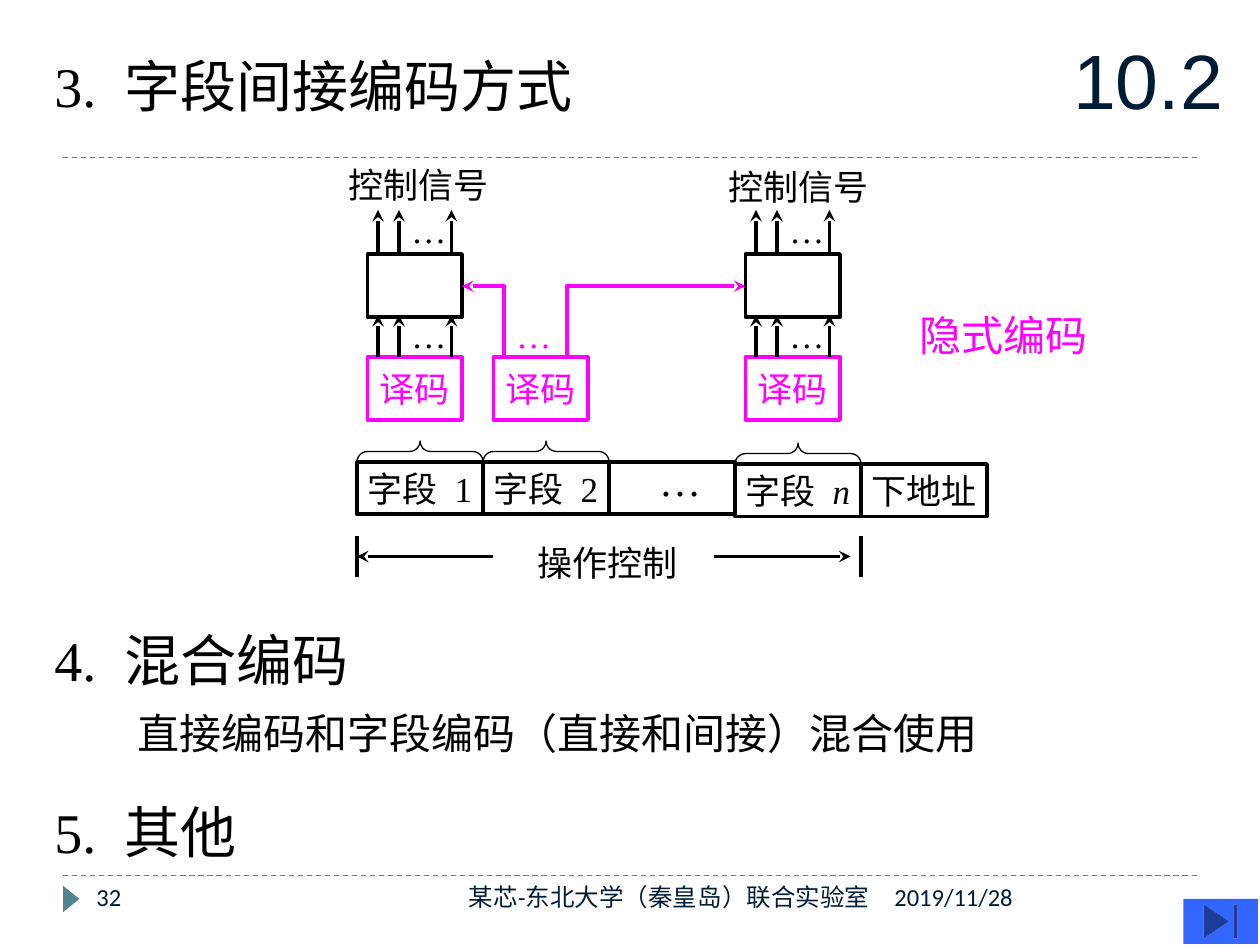
from dataclasses import dataclass

import pptx
import pptx.dml.color
import pptx.enum.dml
import pptx.enum.shapes
import pptx.enum.text
import pptx.oxml.ns
import pptx.util
from lxml import etree

RGBColor = pptx.dml.color.RGBColor
SHAPE = pptx.enum.shapes.MSO_SHAPE
ALIGN = pptx.enum.text.PP_ALIGN
ANCHOR = pptx.enum.text.MSO_ANCHOR
qn = pptx.oxml.ns.qn

BLACK = RGBColor(0, 0, 0)
MAGENTA = RGBColor(0xFF, 0, 0xFF)
NAVY = RGBColor(0, 0x1B, 0x36)
TEAL = RGBColor(0x51, 0x84, 0x8E)
BLUE = RGBColor(0x33, 0x66, 0xFF)
SERIF, SANS = "Times New Roman", "DejaVu Sans"

# The slide is a grid of 120 columns by 90 rows, twelve cells to the inch
COLUMNS, ROWS = 120, 90
CELL = pptx.util.Inches(10) / COLUMNS
FIELD_WIDTH, FIELD_HEIGHT = 12, 5
BLOCK_WIDTH, BLOCK_HEIGHT = 9, 6
FIRST_FIELD = 34


@dataclass(frozen=True)
class Box:
    col: float
    row: float
    width: float
    height: float

    def emu(self) -> list[int]:
        return [cells(v) for v in (self.col, self.row, self.width, self.height)]


@dataclass(frozen=True)
class Style:
    size: float = 20
    color: RGBColor = BLACK
    font: str = SERIF
    align: ALIGN = ALIGN.LEFT


@dataclass(frozen=True)
class Piece:
    text: str
    font: str = SERIF
    italic: bool = False
    spread: bool = False  # letter-spaced to double a space


@dataclass(frozen=True)
class Field:
    pieces: list[Piece]
    row: float
    brace: bool


def cells(count: float) -> int:
    return round(count * CELL)


def write(frame, pieces: list[Piece], style: Style) -> None:
    paragraph = frame.paragraphs[0]
    paragraph.alignment = style.align
    paragraph.font.size = pptx.util.Pt(style.size)
    paragraph.font.color.rgb = style.color
    if len(pieces) == 1:
        paragraph.font.name = style.font
    for piece in pieces:
        run = paragraph.add_run()
        run.text = piece.text
        if len(pieces) > 1:
            run.font.name = piece.font
        if piece.italic:
            run.font.italic = True
        if piece.spread:
            run.font._element.set("spc", str(round(style.size * 25)))


def label(slide, box: Box, pieces: list[Piece], style: Style, wrap=False, grow=True) -> None:
    frame = slide.shapes.add_textbox(*box.emu()).text_frame
    frame.word_wrap = wrap
    if grow:
        frame.auto_size = pptx.enum.text.MSO_AUTO_SIZE.SHAPE_TO_FIT_TEXT
    write(frame, pieces, style)


def outline(shape, color: RGBColor, weight: float) -> None:
    shape.line.color.rgb = color
    shape.line.width = pptx.util.Pt(weight)


def stealth_end(shape) -> None:
    etree.SubElement(shape.line._get_or_add_ln(), qn("a:tailEnd"), type="stealth")


def preset(slide, kind, box: Box, fill=None, line=None, weight=2.25, turn=0):
    shape = slide.shapes.add_shape(kind, *box.emu())
    shape.shadow.inherit = False
    shape.rotation = turn
    if fill is None:
        shape.fill.background()
    else:
        shape.fill.solid()
        shape.fill.fore_color.rgb = fill
    if line is None:
        shape.line.fill.background()
    else:
        outline(shape, line, weight)
    return shape


def block(slide, box: Box, color: RGBColor, pieces: list[Piece]) -> None:
    frame = preset(slide, SHAPE.RECTANGLE, box, line=color).text_frame
    frame.word_wrap = False
    frame.vertical_anchor = ANCHOR.MIDDLE
    write(frame, pieces, Style(color=color, align=ALIGN.CENTER))


def line(slide, start, end, color=BLACK, weight=2.25, arrow=False, dashed=False) -> None:
    connector = slide.shapes.add_connector(
        pptx.enum.shapes.MSO_CONNECTOR.STRAIGHT, *map(cells, (*start, *end)))
    outline(connector, color, weight)
    if dashed:
        connector.line.dash_style = pptx.enum.dml.MSO_LINE.DASH
    if arrow:
        stealth_end(connector)
    etree.SubElement(connector._element.spPr, qn("a:effectLst"))


def elbow(slide, points) -> None:
    start, *rest = [(cells(x), cells(y)) for x, y in points]
    builder = slide.shapes.build_freeform(*start)
    builder.add_line_segments(rest, close=False)
    arrow = builder.convert_to_shape()
    arrow.shadow.inherit = False
    arrow.fill.background()
    outline(arrow, MAGENTA, 2.25)
    stealth_end(arrow)


def signals(slide, col: float, bottom: float, top: float) -> None:
    for offset in (2, 4, 9):
        line(slide, (col + offset, bottom), (col + offset, top), arrow=True)
    label(slide, Box(col + 4, top - 0.75, 5.76, 5.16), [Piece("…")], Style())


def heading(slide, row: float, number: str, title: str) -> None:
    pieces = [Piece(number), Piece(" ", spread=True), Piece(title, SANS)]
    label(slide, Box(4, row, 100, 7.56), pieces, Style(32), wrap=True)


def main() -> None:
    deck = pptx.Presentation()
    deck.slide_width, deck.slide_height = cells(COLUMNS), cells(ROWS)
    slide = deck.slides.add_slide(deck.slide_layouts[5])

    # Rules and page marker
    for row in (15, 83.4):
        line(slide, (6, row), (114, row), TEAL, 0.75, dashed=True)
    preset(slide, SHAPE.ISOSCELES_TRIANGLE, Box(5.52, 84.84, 2.52, 1.56), fill=TEAL, turn=90)

    # Section number and headings
    section = slide.shapes.title
    section.left, section.top, section.width, section.height = Box(101, 2, 19, 11).emu()
    section.text_frame.vertical_anchor = ANCHOR.MIDDLE
    section.text_frame.auto_size = pptx.enum.text.MSO_AUTO_SIZE.NONE
    write(section.text_frame, [Piece("10.2")], Style(44, NAVY, "Arial"))
    heading(slide, 4.3, "3.", "字段间接编码方式")
    heading(slide, 59, "4.", "混合编码")
    heading(slide, 75.4, "5.", "其他")
    label(slide, Box(11.9, 66.8, 100, 6), [Piece("直接编码和字段编码（直接和间接）混合使用")],
          Style(24, font=SANS), wrap=True)

    # Instruction fields, left to right
    gap = Piece(" ", spread=True)
    fields = [
        Field([Piece("字段"), gap, Piece("1")], 44, True),
        Field([Piece("字段"), gap, Piece("2")], 44, True),
        Field([], 44, False),
        Field([Piece("字段"), gap, Piece("n", italic=True)], 44.2, True),
        Field([Piece("下地址")], 44.2, False),
    ]
    for index, field in enumerate(fields):
        col = FIRST_FIELD + index * FIELD_WIDTH
        block(slide, Box(col, field.row, FIELD_WIDTH, FIELD_HEIGHT), BLACK, field.pieces)
        if field.brace:
            preset(slide, SHAPE.LEFT_BRACE, Box(col + 5, field.row - 7, 2, FIELD_WIDTH),
                   line=BLACK, weight=0.75, turn=90).adjustments[0] = 0.5
            block(slide, Box(col + 1, 34, BLOCK_WIDTH, BLOCK_HEIGHT), MAGENTA, [Piece("译码")])
    label(slide, Box(61.6, 42.7, 6.4, 6), [Piece("…")], Style(24))

    # Control signals of the first and the last field
    for col, caption_col, caption_row in ((34, 32, 15), (70, 68.2, 15.2)):
        signals(slide, col, 34, 30)
        block(slide, Box(col + 1, 24.2, BLOCK_WIDTH, BLOCK_HEIGHT), BLACK, [])
        signals(slide, col, 24, 20)
        label(slide, Box(caption_col, caption_row, 15.84, 5.16), [Piece("控制信号")], Style())

    # Implicit coding from the second field
    elbow(slide, [(48, 34.2), (48, 27.25), (44, 27.25)])
    elbow(slide, [(54, 34.2), (54, 27.25), (71, 27.25)])
    label(slide, Box(48, 29.25, 5.76, 5.16), [Piece("…")], Style(color=MAGENTA))
    label(slide, Box(86.4, 28.9, 28.3, 6), [Piece("隐式编码")], Style(24, MAGENTA), wrap=True)

    # Extent of the operation control section
    for col in (34, 82):
        line(slide, (col, 51), (col, 55))
    for start, end in ((47, 34), (68, 81)):
        line(slide, (start, 53), (end, 53), arrow=True)
    label(slide, Box(50, 51, 15.84, 5.16), [Piece("操作控制")], Style())

    # Footer
    preset(slide, SHAPE.ACTION_BUTTON_END, Box(112.7, 85.6, 7.1, 4.3), fill=BLUE)
    for col, width, text, align in (
        (84, 30, "2019/11/28", ALIGN.LEFT),
        (8, 26, "32", ALIGN.LEFT),
        (38, 46, "某芯-东北大学（秦皇岛）联合实验室", ALIGN.RIGHT),
    ):
        label(slide, Box(col, 83.4, width, 4.8), [Piece(text)],
              Style(14, NAVY, "Calibri", align), wrap=True, grow=False)

    deck.save("out.pptx")


if __name__ == "__main__":
    main()
